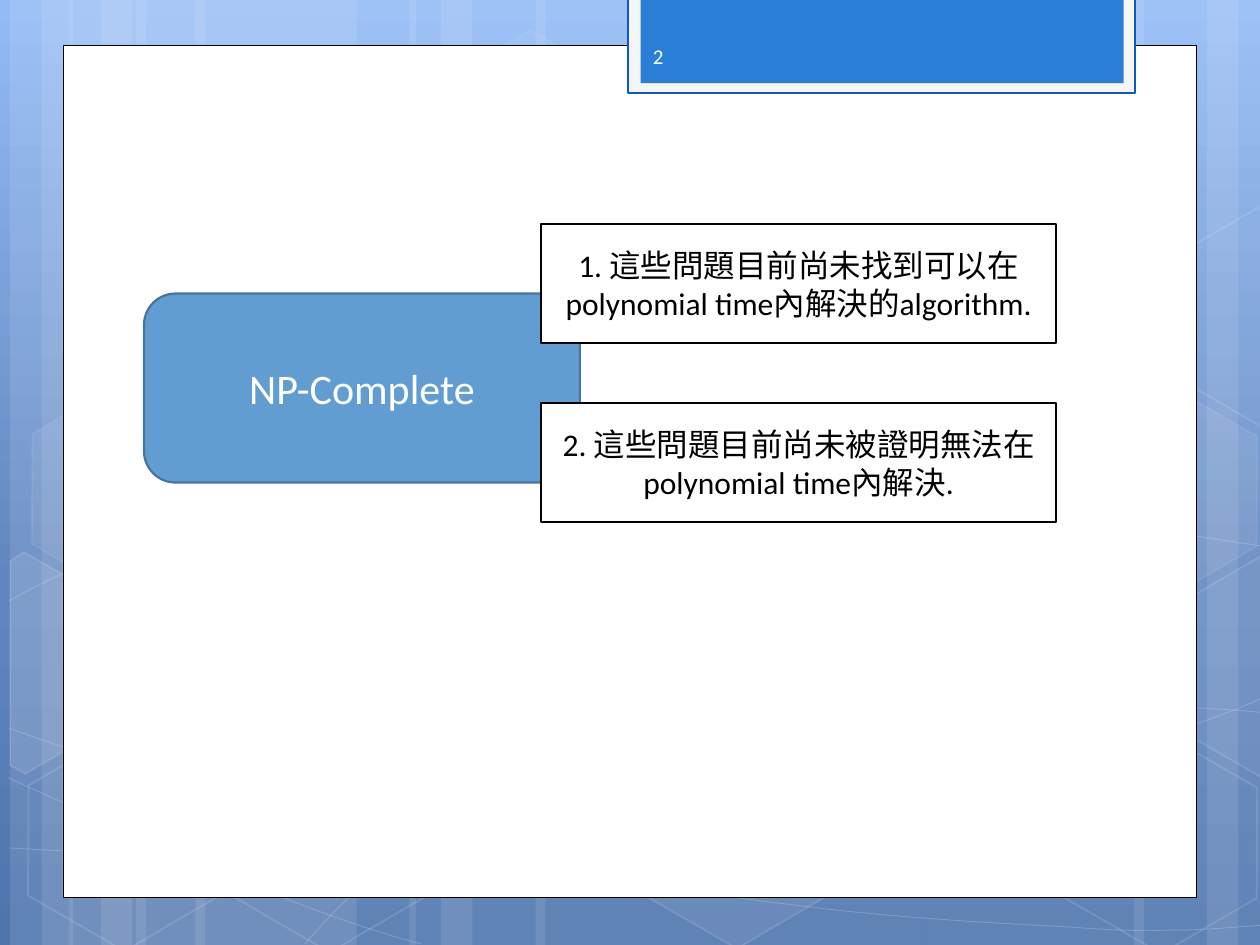
"""Build the NP-Complete slide on a grid of 100 columns by 75 rows."""
from copy import deepcopy
from math import cos, radians, sin

from lxml import etree
from pptx import Presentation, util as u
from pptx.dml.color import RGBColor
from pptx.enum import shapes, text
from pptx.oxml.ns import qn

COLUMNS, ROWS = 100, 75
CELL = u.Inches(0.1)
TILT = 30
WHITE, BLACK = "FFFFFF", "000000"

STRIPES = [(10.8, 17.5), (0.8, 5), (3.3, 8.3), (15.5, 17.5), (5.5, 5), (8, 8.3),
           (73.3, 17.5), (95.8, 5), (90, 8.3), (42.5, 30.8), (32.5, 5), (35, 8.3)]
CURVES = [
    [(0.7, 67.3), (6.1, 67.6), (11.5, 67.9), (19, 67.8), (26.5, 67.7), (35.8, 67.5),
     (45.8, 66.5), (55.8, 65.5), (70, 63.6), (79.2, 61.7), (88.3, 59.8), (97.7, 56.8),
     (100.7, 55.1)],
    [(0.7, 47.7), (3.6, 46.1), (6.5, 44.6), (12.1, 43.1), (17.8, 41.6), (25.9, 39.4),
     (34.7, 38.7), (43.6, 38), (54.5, 37.9), (65.4, 38.7), (76.4, 39.5), (94.7, 42.6),
     (100.7, 43.4)],
    [(0.6, 61.7), (12.7, 67.2), (24.7, 72.7), (33.4, 74.9)],
    [(0.7, 57.8), (3.8, 58.9), (7, 60), (12.8, 61.6), (18.6, 63.1), (27.3, 65.6),
     (35.7, 67.3), (44, 69), (54.5, 70.8), (62.8, 71.8), (71.1, 72.9), (80, 73.3),
     (85.3, 73.6), (90.5, 74), (91.9, 73.8), (94.5, 73.8), (97.1, 73.7), (98.9, 73.5),
     (100.7, 73.4)],
    [(24.2, 74.9), (26, 72.9), (27.8, 70.9), (30.2, 69.1), (32.6, 67.3), (36, 65.3),
     (38.8, 63.9), (41.6, 62.5), (43.3, 61.9), (47, 60.9), (50.6, 59.9), (57.3, 58.5),
     (60.8, 57.8), (64.4, 57.1), (64.9, 57.1), (68, 56.9), (71.1, 56.6), (76, 56.3),
     (79.4, 56.2), (82.9, 56.1), (88.6, 56.2), (88.6, 56.2), (90.9, 56.2), (93, 56.2),
     (95.3, 56.2), (97.1, 56.3), (98.8, 56.4), (99.7, 56.5), (100.6, 56.6),
     (100.3, 56.5), (100.6, 56.6)],
]
HEXAGONS = [(33.4, 3.6, 4, 8), (49.7, 58.9, 6, 12), (1.1, 59.1, 0, 12), (1.4, 31.2, 7, 8),
            (17.4, 59.2, 0, 12), (75.3, 45.3, 10, 12), (83.4, 59.3, 0, 12),
            (83.4, 31.4, 7, 8)]
CUT_HEXAGONS = [
    ((3.6, 53.5), 10, [(0.8, 44.5), (1.9, 43.8), (9.6, 48.2), (9.5, 57), (2, 61.4),
                       (0.8, 60.7)]),
    ((98.5, 52), 4, [(92.6, 48.5), (100.1, 44.1), (100.9, 44.6), (100.9, 61.3),
                     (100.2, 61.7), (92.6, 57.3)]),
    ((98.5, 24.1), 0, [(92.6, 20.7), (100.1, 16.3), (101, 16.8), (100.9, 33.5),
                       (100.2, 33.9), (92.6, 29.5)]),
]
NOTES = ["1. 這些問題目前尚未找到可以在polynomial time內解決的algorithm.",
         "2. 這些問題目前尚未被證明無法在polynomial time內解決."]


def color(value):
    """Turn a hex string into a colour."""
    return RGBColor.from_string(value)


def set_opacity(parent, percent):
    """Set the opacity of the solid fill held by an XML parent."""
    value = parent.find(qn("a:solidFill")).find(qn("a:srgbClr"))
    etree.SubElement(value, qn("a:alpha")).set("val", str(percent * 1000))


def paint(shape, fill=None, line=None, width=1, fill_opacity=100, line_opacity=100):
    """Give a shape its fill and line, without a shadow."""
    shape.shadow.inherit = False
    properties = shape.element.spPr
    if fill:
        shape.fill.solid()
        shape.fill.fore_color.rgb = color(fill)
        if fill_opacity < 100:
            set_opacity(properties, fill_opacity)
    else:
        shape.fill.background()
    if line:
        shape.line.color.rgb = color(line)
        shape.line.width = u.Pt(width)
        if line_opacity < 100:
            set_opacity(properties.find(qn("a:ln")), line_opacity)
    else:
        shape.line.fill.background()


def to_lengths(box):
    """Turn grid units into slide lengths."""
    return [round(value * CELL) for value in box]


def add_block(slide, kind, box, **look):
    """Add a painted preset shape in a grid box."""
    shape = slide.shapes.add_shape(kind, *to_lengths(box))
    paint(shape, **look)
    return shape


def add_outline(slide, points, closed, **look):
    """Add a painted freeform through grid points."""
    start, *rest = [to_lengths(point) for point in points]
    builder = slide.shapes.build_freeform(*start, scale=1.0)
    builder.add_line_segments(rest, close=closed)
    shape = builder.convert_to_shape()
    paint(shape, line=WHITE, **look)
    return shape


def bend(shape):
    """Turn each three straight segments of a freeform into one cubic curve."""
    segments = list(shape.element.iter(qn("a:lnTo")))
    for first in range(0, len(segments), 3):
        curve = etree.Element(qn("a:cubicBezTo"))
        segments[first].addprevious(curve)
        for segment in segments[first:first + 3]:
            curve.append(segment[0])
            segment.getparent().remove(segment)


def untilt(point, center):
    """Turn a point back by the tilt around a centre."""
    x, y = point[0] - center[0], point[1] - center[1]
    c, s = cos(radians(TILT)), sin(radians(TILT))
    return center[0] + x * c + y * s, center[1] - x * s + y * c


def write(shape, words, size, ink, align=text.PP_ALIGN.CENTER):
    """Write one vertically centred paragraph in a shape."""
    frame = shape.text_frame
    frame.word_wrap = True
    frame.vertical_anchor = text.MSO_ANCHOR.MIDDLE
    paragraph = frame.paragraphs[0]
    paragraph.text = words
    paragraph.alignment = align
    paragraph.font.name = "Calibri"
    paragraph.font.size = u.Pt(size)
    paragraph.font.color.rgb = color(ink)


def fill_background(slide):
    """Lay a three-stop vertical gradient behind the slide."""
    fill = slide.background.fill
    fill.gradient()
    fill.gradient_angle = 270
    first = next(slide.element.iter(qn("a:gs")))
    first.addnext(deepcopy(first))
    stops = [(0, "93BBF6"), (0.62, "6186BE"), (1, "4F75AE")]
    for stop, (position, value) in zip(fill.gradient_stops, stops):
        stop.position = position
        stop.color.rgb = color(value)


def draw_backdrop(slide, box):
    """Fill the box with faint stripes, curves and hexagons."""
    left, top, _, height = box
    for offset, width in STRIPES:
        add_block(slide, shapes.MSO_SHAPE.RECTANGLE, (left + offset, top, width, height),
                  fill=WHITE, fill_opacity=10)
    for points in CURVES:
        bend(add_outline(slide, points, False, width=0.5, line_opacity=20))
    for x, y, opacity, line_opacity in HEXAGONS:
        hexagon = add_block(slide, shapes.MSO_SHAPE.HEXAGON, (left + x, top + y, 17.5, 15.2),
                            fill=WHITE if opacity else None, fill_opacity=opacity,
                            line=WHITE, line_opacity=line_opacity)
        hexagon.adjustments[0] = 0.285
        hexagon.rotation = TILT
    for center, opacity, points in CUT_HEXAGONS:
        corners = [untilt(point, center) for point in points]
        hexagon = add_outline(slide, corners, True, fill=WHITE if opacity else None,
                              fill_opacity=opacity, line_opacity=12)
        hexagon.rotation = TILT


def draw_number_tab(slide, box, number):
    """Hang the framed tab with the slide number in the box."""
    left, top, width, height = box
    add_block(slide, shapes.MSO_SHAPE.RECTANGLE, box, fill="F5F5F5", line="0E58C4", width=1.25)
    add_block(slide, shapes.MSO_SHAPE.RECTANGLE, (left + 0.98, top, width - 1.9, height - 0.8),
              fill="297FD5")
    label = slide.shapes.add_textbox(*to_lengths((left + 0.98, top + 2.65, 14.6, 4)))
    write(label, number, 12, "FEFEFE", text.PP_ALIGN.LEFT)


def draw_topic(slide, box):
    """Place the topic and its overlapping notes in the box."""
    left, top, width, _ = box
    topic = add_block(slide, shapes.MSO_SHAPE.ROUNDED_RECTANGLE, (left, top + 5.5, 34.6, 15),
                      fill="629DD1", line="49749B", width=1.25)
    write(topic, "NP-Complete", 24, WHITE)
    for row, words in enumerate(NOTES):
        note = add_block(slide, shapes.MSO_SHAPE.RECTANGLE,
                         (left + width - 40.9, top + 14.2 * row, 40.9, 9.43),
                         fill=WHITE, line=BLACK, width=1.25)
        write(note, words, 18, BLACK)


def main():
    """Build and save the presentation."""
    presentation = Presentation()
    presentation.slide_width = COLUMNS * CELL
    presentation.slide_height = ROWS * CELL
    slide = presentation.slides.add_slide(presentation.slide_layouts[6])
    fill_background(slide)
    draw_backdrop(slide, (0, 0, COLUMNS, ROWS))
    add_block(slide, shapes.MSO_SHAPE.RECTANGLE, (5, 3.6, 90, 67.63),
              fill=WHITE, line=BLACK, width=0.5)
    draw_number_tab(slide, (49.86, -0.2, 40.24, 7.6), "2")
    draw_topic(slide, (11.43, 17.8, 72.4, 23.63))
    presentation.save("out.pptx")


if __name__ == "__main__":
    main()
